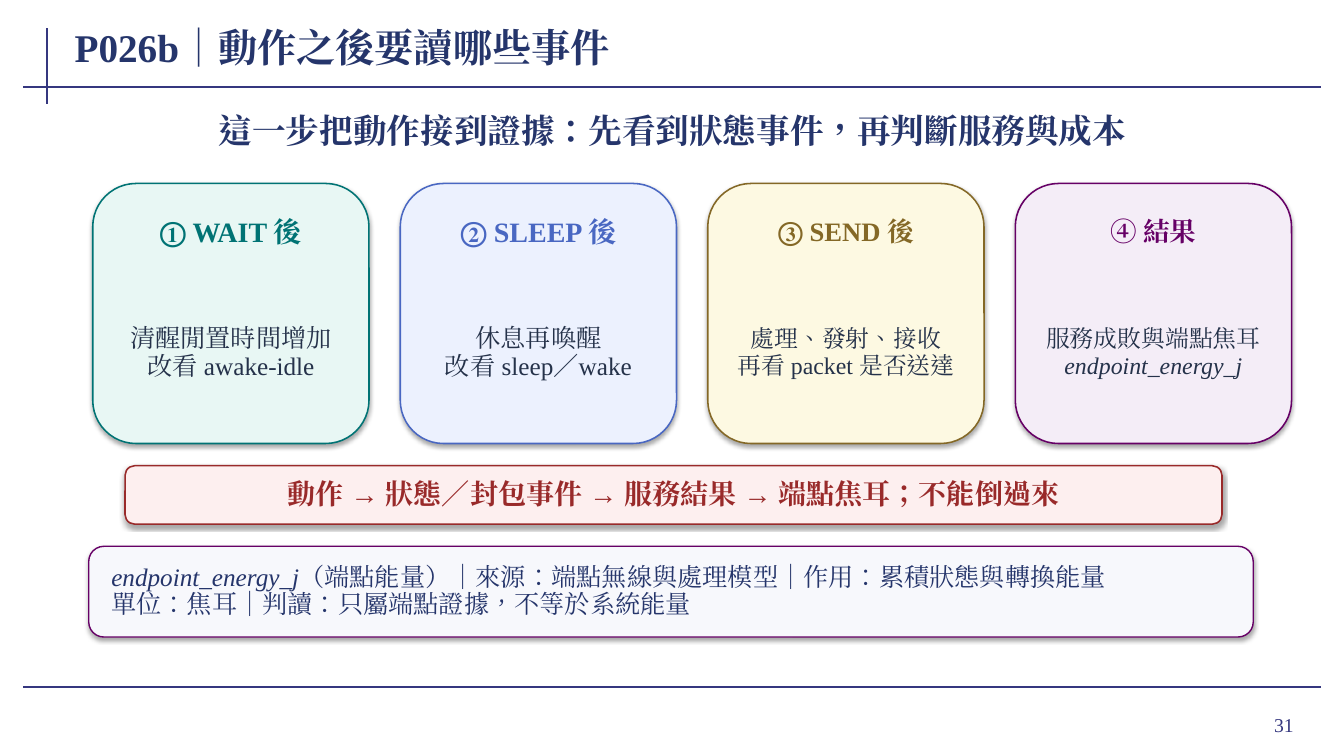
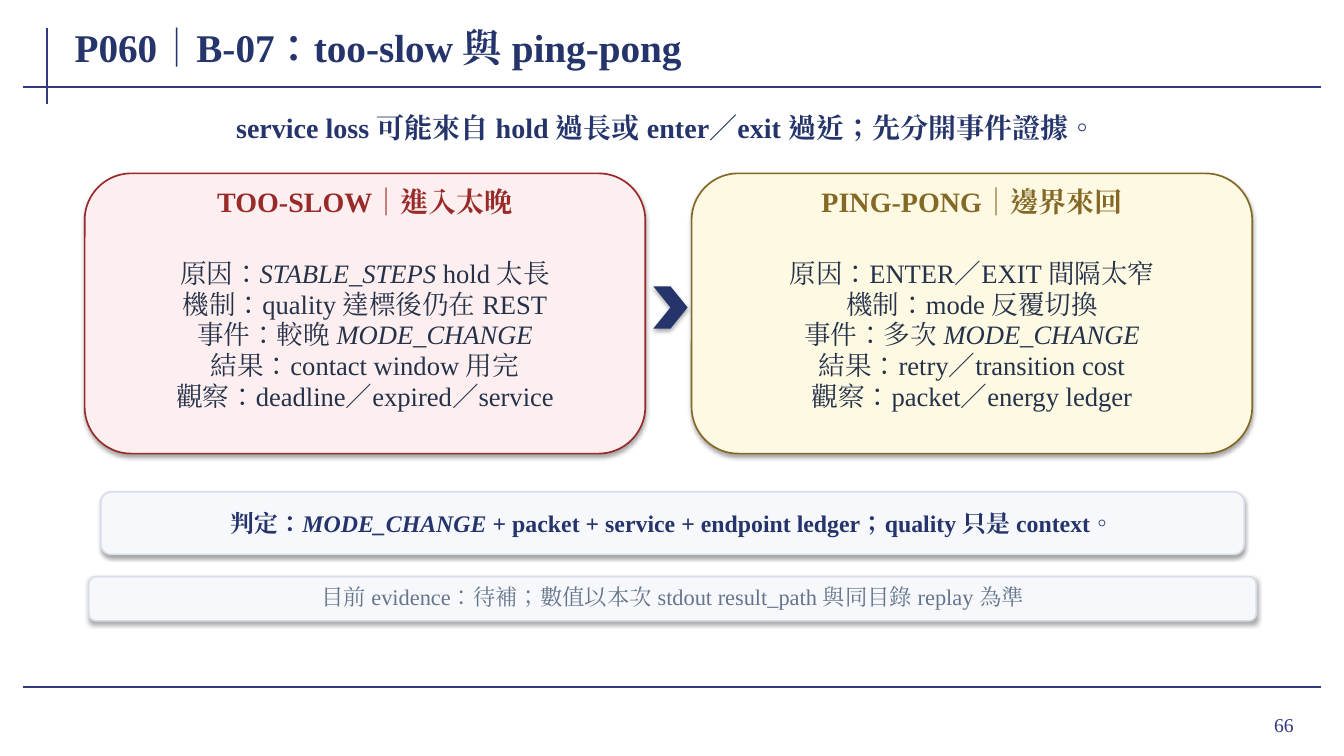
"""Build two lesson slides on reading events and telling failure modes apart."""
from lxml import etree
from pptx import Presentation
from pptx.dml.color import RGBColor
from pptx.enum.shapes import MSO_CONNECTOR, MSO_SHAPE
from pptx.enum.text import MSO_ANCHOR, MSO_AUTO_SIZE, PP_ALIGN
from pptx.oxml.ns import qn
from pptx.util import Pt

PX = 9144
FONT = "Times New Roman"
LEFT, MID, RIGHT = PP_ALIGN.LEFT, PP_ALIGN.CENTER, PP_ALIGN.RIGHT
ROUND, ARROW = MSO_SHAPE.ROUNDED_RECTANGLE, MSO_SHAPE.CHEVRON
STRAIGHT = MSO_CONNECTOR.STRAIGHT
MIDDLE = MSO_ANCHOR.MIDDLE
FIT, FIXED = MSO_AUTO_SIZE.SHAPE_TO_FIT_TEXT, MSO_AUTO_SIZE.NONE

INK = {
    "rule": "35377F", "navy": "25356B", "body": "25324A", "grey": "65758B",
    "teal": "007374", "blue": "4967C2", "gold": "846826", "plum": "660066",
    "red": "992A2A", "edge": "D7DEEA",
}
FILL = {
    "teal": "E8F7F4", "blue": "ECF1FE", "gold": "FDF9E2", "plum": "F4EDF7",
    "red": "FDEFEF", "pale": "F7F8FC",
}


def rgb(code):
    return RGBColor.from_string(code)


def px(*nums):
    return [n * PX for n in nums]


def write(shape, text, size, hue, bold=False, align=MID, space=1.0,
          inset=(2, 0), fit=FIXED):
    """Fill a shape with lines of text; *stars* mark italics."""
    frame = shape.text_frame
    frame.word_wrap = True
    frame.auto_size = fit
    frame.vertical_anchor = MIDDLE
    frame.margin_left = frame.margin_right = inset[0] * PX
    frame.margin_top = frame.margin_bottom = inset[1] * PX
    for row, line in enumerate(text.split("\n")):
        para = frame.add_paragraph() if row else frame.paragraphs[0]
        para.alignment = align
        para.line_spacing = space
        font = para.font
        font.name, font.size, font.bold = FONT, Pt(size), bold
        font.color.rgb = rgb(INK[hue])
        for pos, part in enumerate(line.split("*")):
            if part:
                run = para.add_run()
                run.text = part
                if pos % 2:
                    run.font.italic = True
                props = run._r.get_or_add_rPr()
                props.set("lang", "zh-TW")
                etree.SubElement(props, qn("a:ea")).set("typeface", FONT)


def label(slide, box, text, size, hue, **style):
    write(slide.shapes.add_textbox(*px(*box)), text, size, hue, **style)


def shade(shape):
    """Give a shape the soft shadow that falls below it."""
    shape.shadow.inherit = False
    group = shape._element.spPr.find(qn("a:effectLst"))
    drop = etree.SubElement(group, qn("a:outerShdw"), blurRad="40000",
                            dist="23000", dir="5400000", rotWithShape="0")
    tint = etree.SubElement(drop, qn("a:srgbClr"), val="000000")
    etree.SubElement(tint, qn("a:alpha"), val="35000")


def panel(slide, box, fill, edge=None, width=1.1, kind=ROUND):
    shape = slide.shapes.add_shape(kind, *px(*box))
    shape.fill.solid()
    shape.fill.fore_color.rgb = rgb(fill)
    if edge:
        shape.line.color.rgb = rgb(INK[edge])
        shape.line.width = Pt(width)
    else:
        shape.line.fill.background()
    shade(shape)
    return shape


def rule(slide, *ends):
    line = slide.shapes.add_connector(STRAIGHT, *px(*ends))
    line.line.color.rgb = rgb(INK["rule"])
    line.line.width = Pt(1.5)
    etree.SubElement(line._element.spPr, qn("a:effectLst"))


def card(slide, box, hue, head, body, sizes, spots, space, width):
    """Draw a panel with a heading and body; spots are their tops and heights."""
    x, y, w, h = box
    panel(slide, box, FILL[hue], hue, width)
    (top, tall), (low, deep) = spots
    label(slide, (x + 16, y + top, w - 32, tall), head, sizes[0], hue,
          bold=True, space=0.92, inset=(3, 0), fit=FIT)
    label(slide, (x + 18, y + low, w - 36, deep), body, sizes[1], "body",
          space=space, inset=(3, 1), fit=FIT)


def base(deck, title, page):
    """Add a slide with the shared rules, title and page number."""
    slide = deck.slides.add_slide(deck.slide_layouts[6])
    rule(slide, 47, 28, 47, 103)
    for y in (86, 682):
        rule(slide, 23, y, 1310, y)
    label(slide, (1196, 693, 97, 52), page, 14, "rule", align=RIGHT,
          inset=(10, 5))
    label(slide, (72, 20, 1035, 53), title, 28, "navy", bold=True, align=LEFT)
    return slide


def events(deck):
    slide = base(deck, "P026b｜動作之後要讀哪些事件", "31")
    label(slide, (102, 105, 1130, 52),
          "這一步把動作接到證據：先看到狀態事件，再判斷服務與成本",
          24, "navy", bold=True, space=0.96, fit=FIT)
    steps = [
        ("teal", "① WAIT 後", "清醒閒置時間增加\n改看 awake-idle", (20, 18)),
        ("blue", "② SLEEP 後", "休息再喚醒\n改看 sleep／wake", (20, 18)),
        ("gold", "③ SEND 後", "處理、發射、接收\n再看 packet 是否送達", (19, 17)),
        ("plum", "④ 結果", "服務成敗與端點焦耳\n*endpoint_energy_j*", (19, 17)),
    ]
    for col, (hue, head, body, sizes) in enumerate(steps):
        card(slide, (92 + 305 * col, 182, 274, 258), hue, head, body, sizes,
             ((20, 58), (98, 140)), 0.94, 1.1)
    chain = panel(slide, (124, 462, 1088, 58), FILL["red"], "red")
    write(chain, "動作 → 狀態／封包事件 → 服務結果 → 端點焦耳；不能倒過來",
          20, "red", bold=True, space=0.95, inset=(12, 4))
    note = panel(slide, (88, 542, 1155, 90), FILL["pale"], "plum", 1)
    write(note, "*endpoint_energy_j*（端點能量）｜來源：端點無線與處理模型｜"
          "作用：累積狀態與轉換能量\n"
          "單位：焦耳｜判讀：只屬端點證據，不等於系統能量",
          18, "navy", align=LEFT, space=0.9, inset=(18, 3))


def modes(deck):
    slide = base(deck, "P060｜B-07：too-slow 與 ping-pong", "66")
    label(slide, (94, 105, 1134, 42),
          "service loss 可能來自 hold 過長或 enter／exit 過近；先分開事件證據。",
          20, "navy", bold=True, fit=FIT)
    cases = [
        ("red", "TOO-SLOW｜進入太晚",
         "原因：*STABLE_STEPS* hold 太長\n"
         "機制：quality 達標後仍在 REST\n"
         "事件：較晚 *MODE_CHANGE*\n"
         "結果：contact window 用完\n"
         "觀察：deadline／expired／service"),
        ("gold", "PING-PONG｜邊界來回",
         "原因：ENTER／EXIT 間隔太窄\n"
         "機制：mode 反覆切換\n"
         "事件：多次 *MODE_CHANGE*\n"
         "結果：retry／transition cost\n"
         "觀察：packet／energy ledger"),
    ]
    for col, (hue, head, body) in enumerate(cases):
        card(slide, (84 + 602 * col, 172, 556, 278), hue, head, body, (20, 19),
             ((12, 36), (56, 210)), 0.96, 1.2)
    panel(slide, (648, 284, 34, 42), INK["navy"], kind=ARROW)
    rating = panel(slide, (100, 488, 1134, 62), FILL["pale"], "edge", 1.2)
    write(rating, "判定：*MODE_CHANGE* + packet + service + endpoint ledger；"
          "quality 只是 context。", 17, "navy", bold=True)
    status = panel(slide, (88, 572, 1158, 44), FILL["pale"], "edge", 1.2)
    write(status, "目前 evidence：待補；數值以本次 stdout result_path "
          "與同目錄 replay 為準", 16, "grey", space=0.9, inset=(3, 1))


def main():
    deck = Presentation()
    deck.slide_width, deck.slide_height = px(1333, 750)
    events(deck)
    modes(deck)
    deck.save("out.pptx")


if __name__ == "__main__":
    main()
